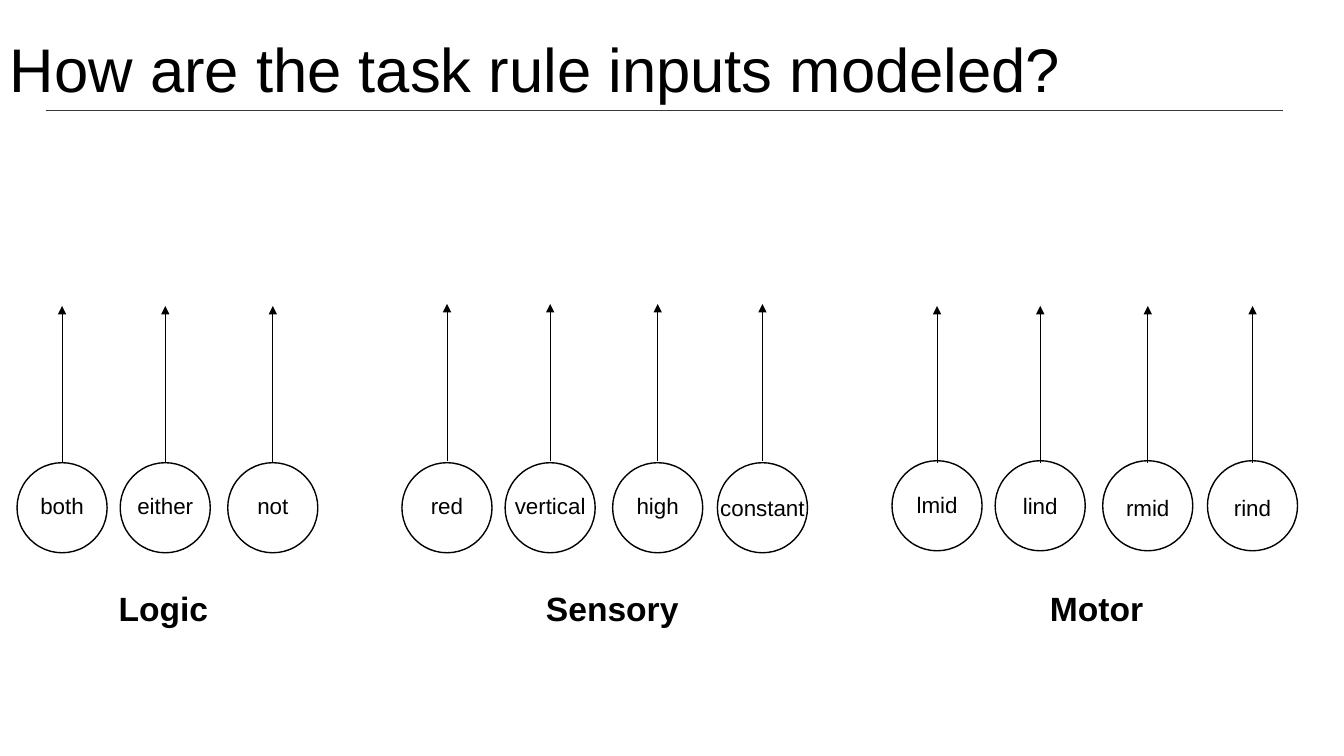
from dataclasses import dataclass

from pptx import Presentation
from pptx.dml.color import RGBColor
from pptx.enum.shapes import MSO_CONNECTOR, MSO_SHAPE
from pptx.enum.text import MSO_ANCHOR, MSO_AUTO_SIZE, PP_ALIGN
from pptx.oxml.ns import qn
from pptx.util import Cm, Pt
from lxml.etree import SubElement


@dataclass(frozen=True)
class Theme:
    font: str = "Arial"
    ink: RGBColor = RGBColor(0x00, 0x00, 0x00)
    rule: RGBColor = RGBColor(0x3B, 0x38, 0x38)
    title_size: int = 44
    heading_size: int = 24
    label_size: int = 16
    thin: float = 0.5
    outline: float = 1


@dataclass
class Label:
    word: str
    width: float
    top: float = 12.27


@dataclass
class RuleGroup:
    heading: str
    heading_left: float
    heading_width: float
    left: float
    circle_top: float
    arrow_base: float
    labels: list


class SlideBuilder:
    def __init__(self, page, theme):
        self.page = page
        self.theme = theme

    def text(self, words, left, top, width, height, size,
             bold=False, align=PP_ALIGN.LEFT):
        box = self.page.shapes.add_textbox(Cm(left), Cm(top), Cm(width), Cm(height))
        frame = box.text_frame
        frame.word_wrap = False
        frame.auto_size = MSO_AUTO_SIZE.SHAPE_TO_FIT_TEXT
        para = frame.paragraphs[0]
        para.text = words
        para.alignment = align
        para.font.name = self.theme.font
        para.font.size = Pt(size)
        para.font.bold = bold
        para.font.color.rgb = self.theme.ink
        return box

    def title(self, words):
        box = self.text(words, 0, 0, 29.21, 3.68, self.theme.title_size)
        frame = box.text_frame
        frame.word_wrap = True
        frame.auto_size = MSO_AUTO_SIZE.NONE
        frame.vertical_anchor = MSO_ANCHOR.MIDDLE
        frame.paragraphs[0].line_spacing = 0.9

    def circle(self, left, top, diameter):
        circle = self.page.shapes.add_shape(
            MSO_SHAPE.OVAL, Cm(left), Cm(top), Cm(diameter), Cm(diameter))
        circle.shadow.inherit = False
        circle.fill.background()
        circle.line.color.rgb = self.theme.ink
        circle.line.width = Pt(self.theme.outline)

    def line(self, start, end, color):
        line = self.page.shapes.add_connector(
            MSO_CONNECTOR.STRAIGHT, *map(Cm, start + end))
        line.line.color.rgb = color
        line.line.width = Pt(self.theme.thin)
        SubElement(line._element.spPr, qn("a:effectLst"))
        return line

    def arrow(self, start, end):
        arrow = self.line(start, end, self.theme.ink)
        SubElement(arrow.line._get_or_add_ln(), qn("a:tailEnd"), type="triangle")

    def rule_group(self, group):
        diameter, arrow_length = 2.27, 3.95
        offsets = (0, 2.6, 5.31, 7.95)
        for label, offset in zip(group.labels, offsets):
            left = group.left + offset
            center = left + diameter / 2
            self.circle(left, group.circle_top, diameter)
            self.text(label.word, center - label.width / 2, label.top,
                      label.width, 0.94, self.theme.label_size,
                      align=PP_ALIGN.CENTER)
            self.arrow((center, group.arrow_base),
                       (center, group.arrow_base - arrow_length))
        self.text(group.heading, group.heading_left, 14.68, group.heading_width,
                  1.27, self.theme.heading_size, bold=True)


GROUPS = (
    RuleGroup("Logic", 2.74, 2.79, 0.43, 11.66, 11.66, [
        Label("both", 1.63), Label("either", 1.93), Label("not", 1.3)]),
    RuleGroup("Sensory", 13.51, 3.89, 10.13, 11.66, 11.61, [
        Label("red", 1.35), Label("vertical", 2.31), Label("high", 1.57),
        Label("constant", 2.67, 12.32)]),
    RuleGroup("Motor", 26.21, 2.9, 22.48, 11.61, 11.66, [
        Label("lmid", 1.55, 12.24), Label("lind", 1.4),
        Label("rmid", 1.63, 12.32), Label("rind", 1.47, 12.32)]),
)


def main():
    deck = Presentation()
    deck.slide_width, deck.slide_height = Cm(33.87), Cm(19.05)
    page = deck.slides.add_slide(deck.slide_layouts[6])
    theme = Theme()
    builder = SlideBuilder(page, theme)
    builder.line((1.17, 2.78), (32.33, 2.78), theme.rule)
    builder.title("How are the task rule inputs modeled?")
    for group in GROUPS:
        builder.rule_group(group)
    deck.save("out.pptx")


if __name__ == "__main__":
    main()
